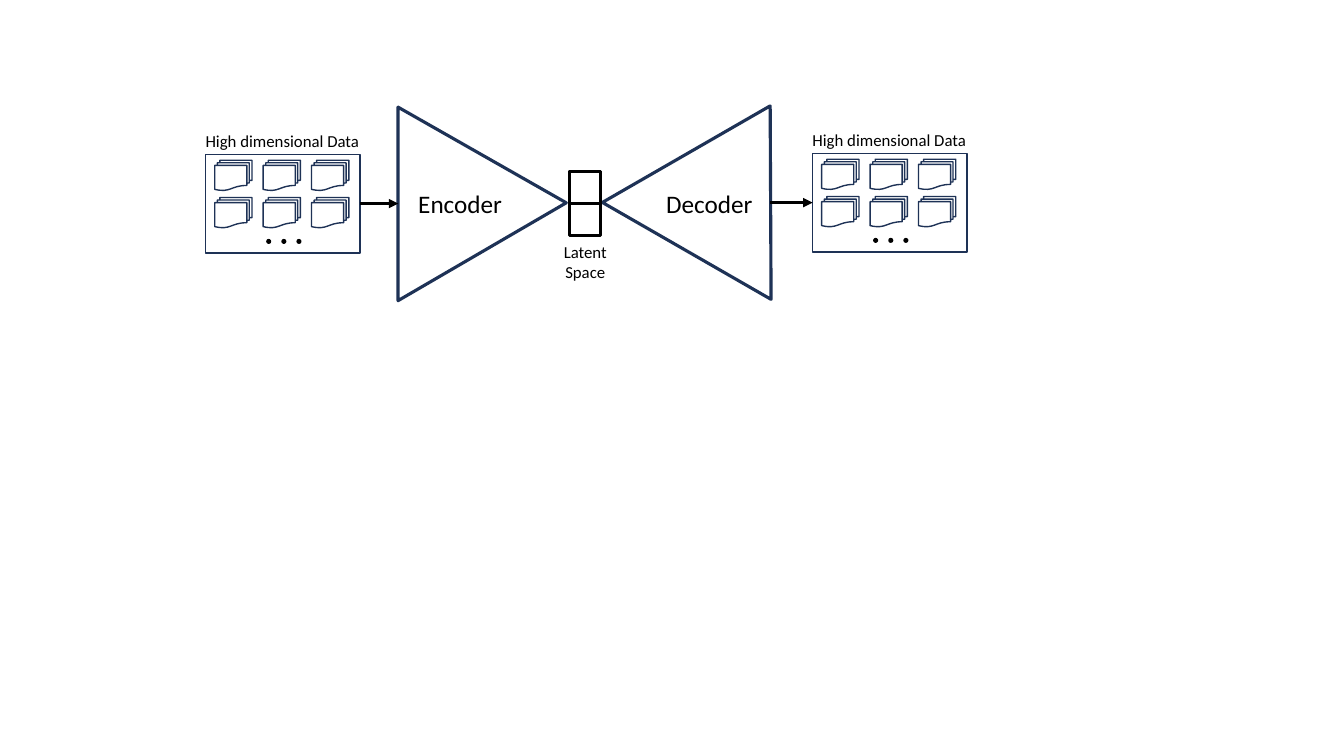
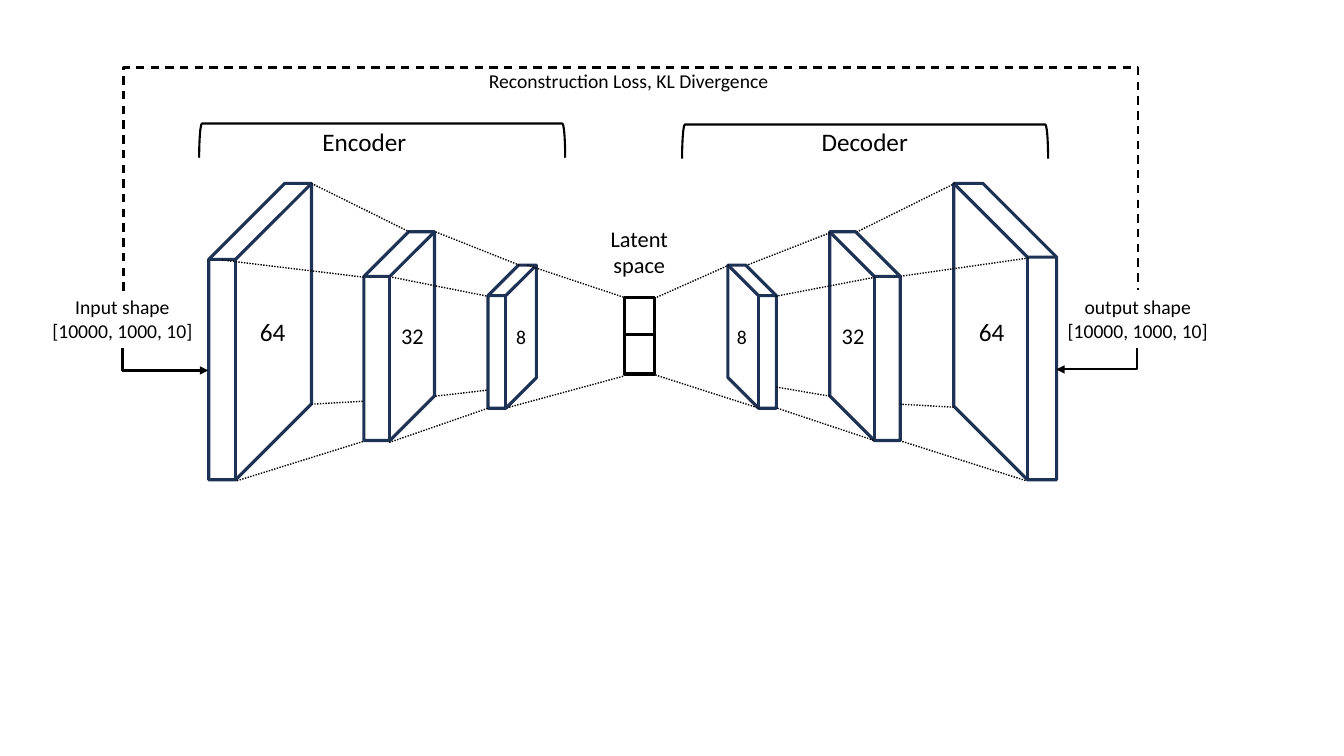
"""Draw an autoencoder overview and its layer-by-layer view."""
from pptx import Presentation
from pptx.dml.color import RGBColor
from pptx.enum import dml, shapes, text
from pptx.oxml import ns
from pptx.util import Pt
from lxml import etree

PX = 9144
BLACK = RGBColor(0, 0, 0)
WHITE = RGBColor(255, 255, 255)
NAVY = RGBColor(0x1E, 0x32, 0x56)
FONT = "Calibri"
KIND = shapes.MSO_SHAPE
WIRE = shapes.MSO_CONNECTOR
DOT = dml.MSO_LINE.ROUND_DOT
DASH = dml.MSO_LINE.DASH

CONES = [((340, 95, 193, 166), 329.8, False), ((626, 94, 193, 166), 29.9, True)]
CODE = [(565, 170, 31, 64), (565, 170, 31, 32)]
PANELS = [(806, 152), (204, 153)]
ARROWS = [(764, 201, 806, 201), (357, 202, 395, 202)]
LABELS = [
    ("Encoder", (405, 182, 104, 40), 18, False),
    ("Decoder", (651, 182, 107, 40), 18, False),
    ("Latent\nSpace", (549, 235, 63, 50), 12, True),
]

CUBES = [
    ((207, 182, 102, 294), 0.739, False),
    ((361, 230, 70, 207), 0.632, False),
    ((484, 263, 48, 142), 0.632, False),
    ((946, 182, 102, 294), 0.717, True),
    ((823, 230, 70, 207), 0.632, True),
    ((722, 263, 48, 142), 0.632, True),
]
CELLS = [(619, 295, 30, 76), (619, 332, 30, 39)]
NOTES = [
    ("Latent\nspace", (595, 218, 78, 64), 16, True),
    ("Input shape\n[10000, 1000, 10]", (41, 288, 161, 57), 14, True),
    ("output shape\n[10000, 1000, 10]", (1048, 288, 161, 57), 14, True),
    ("8", (502, 317, 30, 34), 14, False),
    ("32", (388, 315, 43, 37), 16, False),
    ("64", (248, 309, 46, 40), 18, False),
    ("8", (721, 317, 30, 34), 14, False),
    ("32", (825, 315, 43, 37), 16, False),
    ("64", (961, 309, 46, 40), 18, False),
    ("Reconstruction Loss, KL Divergence", (475, 63, 300, 34), 14, False),
    ("Encoder", (310, 120, 104, 40), 18, False),
    ("Decoder", (805, 120, 107, 40), 18, False),
]
RAYS = [
    (309, 182, 406, 230), (220, 258, 361, 275),
    (309, 401, 361, 398), (235, 477, 360, 438),
    (386, 439, 484, 405), (432, 393, 484, 387),
    (389, 275, 484, 294), (432, 230, 515, 263),
    (505, 404, 619, 373), (523, 263, 619, 295),
    (650, 372, 753, 405), (649, 296, 723, 263),
    (771, 405, 867, 437), (770, 384, 823, 393),
    (823, 231, 741, 263), (868, 275, 769, 294),
    (895, 438, 1018, 477), (946, 404, 893, 401),
    (947, 182, 850, 230), (1020, 256, 894, 274),
]
BENDS = [
    ((153, 314, 22, 85), 270, "h", "bentConnector2", None, None),
    ((1077, 316, 21, 80), 90, "", "bentConnector2", None, None),
    ((625, -215, 1, 1006), 90, "hv", "bentConnector3", 225, DASH),
]
BRACES = [(362, -42, 34, 363), (841, -41, 34, 363)]


def scale(nums):
    return [n * PX for n in nums]


def write(host, words, box, size, mid=False):
    frame = host.add_textbox(*scale(box)).text_frame
    frame.word_wrap = False
    frame.auto_size = text.MSO_AUTO_SIZE.SHAPE_TO_FIT_TEXT
    frame.text = words
    for para in frame.paragraphs:
        para.alignment = text.PP_ALIGN.CENTER if mid else text.PP_ALIGN.LEFT
        font = para.runs[0].font
        font.name, font.size, font.color.rgb = FONT, Pt(size), BLACK


def draw(host, kind, box, line=NAVY, width=2.25, fill=None, turn=0, flip=False, adj=None):
    item = host.add_shape(kind, *scale(box))
    item.shadow.inherit = False
    item.rotation = turn
    if flip:
        item._element.spPr.get_or_add_xfrm().set("flipH", "1")
    if adj is not None:
        item.adjustments[0] = adj
    if fill is None:
        item.fill.background()
    else:
        item.fill.solid()
        item.fill.fore_color.rgb = fill
    if line is None:
        item.line.fill.background()
    else:
        item.line.color.rgb = line
        item.line.width = Pt(width)


def link(host, ends, width, dash=None, head=False, kind=WIRE.STRAIGHT):
    wire = host.add_connector(kind, *scale(ends))
    wire.line.color.rgb = BLACK
    wire.line.width = Pt(width)
    if dash is not None:
        wire.line.dash_style = dash
    props = wire._element.spPr
    if head:
        etree.SubElement(props.find(ns.qn("a:ln")), ns.qn("a:tailEnd"), type="triangle")
    etree.SubElement(props, ns.qn("a:effectLst"))
    return props


def bend(host, box, turn, flip, preset, adj, dash):
    x, y, w, h = box
    props = link(host, (x, y, x + w, y + h), 1.5, dash, dash is None, WIRE.ELBOW)
    frame = props.find(ns.qn("a:xfrm"))
    frame.set("rot", str(turn * 60000))
    for axis in flip:
        frame.set("flip" + axis.upper(), "1")
    geom = props.find(ns.qn("a:prstGeom"))
    geom.set("prst", preset)
    if adj is not None:
        etree.SubElement(geom.find(ns.qn("a:avLst")), ns.qn("a:gd"),
                         name="adj1", fmla=f"val {adj * 100000}")


def panel(host, x, y):
    group = host.add_group_shape().shapes
    write(group, "High dimensional Data", (x - 10, y - 28, 174, 30), 12)
    for col in range(3):
        for row in range(2):
            box = (x + 9 + 48 * col, y + 6 + 37 * row, 37, 30)
            draw(group, KIND.FLOWCHART_MULTIDOCUMENT, box, width=1)
    draw(group, KIND.RECTANGLE, (x, y, 153, 98), width=1)
    for col in range(3):
        draw(group, KIND.OVAL, (x + 60 + 15 * col, y + 84, 5, 5), line=None, fill=BLACK)


def overview(host):
    for box, turn, flip in CONES:
        draw(host, KIND.ISOSCELES_TRIANGLE, box, turn=turn, flip=flip)
    for box in CODE:
        draw(host, KIND.RECTANGLE, box, line=BLACK)
    for label in LABELS:
        write(host, *label)
    for spot in PANELS:
        panel(host, *spot)
    for ends in ARROWS:
        link(host, ends, 2.25, head=True)


def layers(host):
    for box, adj, flip in CUBES:
        draw(host, KIND.CUBE, box, adj=adj, flip=flip)
    group = host.add_group_shape().shapes
    for box in CELLS:
        draw(group, KIND.RECTANGLE, box, line=BLACK, fill=WHITE)
    for ends in RAYS:
        link(host, ends, 1, DOT)
    for route in BENDS:
        bend(host, *route)
    for box in BRACES:
        draw(host, KIND.LEFT_BRACKET, box, line=BLACK, width=1.5, turn=90)
    for note in NOTES:
        write(host, *note)


def main():
    deck = Presentation()
    deck.slide_width, deck.slide_height = scale((1333, 750))
    for build in (overview, layers):
        build(deck.slides.add_slide(deck.slide_layouts[6]).shapes)
    deck.save("out.pptx")


if __name__ == "__main__":
    main()
